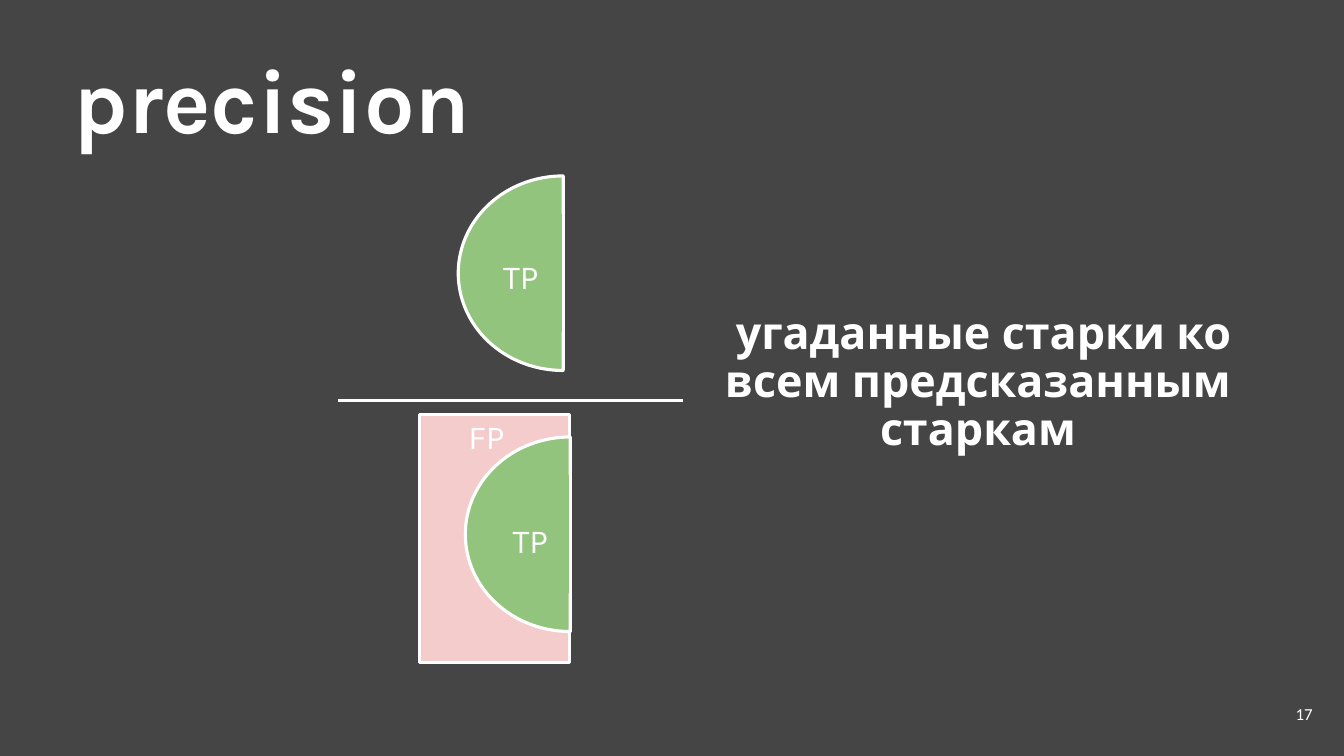
from lxml import etree
from pptx import Presentation
from pptx.dml.color import RGBColor
from pptx.enum.shapes import MSO_CONNECTOR, MSO_SHAPE
from pptx.enum.text import MSO_ANCHOR, PP_ALIGN
from pptx.oxml.ns import qn
from pptx.util import Inches, Pt

LINE = MSO_CONNECTOR.STRAIGHT
ARC, RECT = MSO_SHAPE.BLOCK_ARC, MSO_SHAPE.RECTANGLE
TOP, MIDDLE = MSO_ANCHOR.TOP, MSO_ANCHOR.MIDDLE
LEFT, CENTER, RIGHT = PP_ALIGN.LEFT, PP_ALIGN.CENTER, PP_ALIGN.RIGHT

COLORS = {"back": "454545", "white": "FFFFFF", "green": "93C47D", "pink": "F4CCCC"}

TITLE = "precision"
NOTE = " угаданные старки ко всем предсказанным старкам"
PAGE = "17"
LABELS = [
    (" TP", (4.54, 2.47, 1.17, 0.61)),
    (" FP", (4.16, 4.06, 1.25, 0.39)),
    (" TP", (4.75, 5.09, 0.94, 0.39)),
]
HALVES = [(4.62, 1.67), (4.69, 4.26)]
FRAME = (4.16, 4.11, 1.49, 2.46)
BAR = (3.35, 3.97, 6.77, 3.97)
ARC_W, ARC_H = 1.93, 2.08
CORE_W, CORE_H = 0.63, 1.17


def color(name):
    return RGBColor.from_string(COLORS[name])


def add_text(text, box, size, font="Karla", bold=False, align=LEFT,
             anchor=TOP, pad=0.07, space=None):
    frame = slide.shapes.add_textbox(*map(Inches, box)).text_frame
    frame.word_wrap = True
    frame.vertical_anchor = anchor
    frame.margin_left = frame.margin_right = Inches(0.13)
    frame.margin_top = frame.margin_bottom = Inches(pad)
    para = frame.paragraphs[0]
    para.alignment = align
    para.line_spacing = space
    run = para.add_run()
    run.text = text
    run.font.size = Pt(size)
    run.font.name = font
    run.font.bold = bold
    run.font.color.rgb = color("white")


def outline(item):
    item.line.color.rgb = color("white")
    item.line.width = Pt(2.25)


def add_block(kind, box, fill, edge=True):
    block = slide.shapes.add_shape(kind, *map(Inches, box))
    block.shadow.inherit = False
    block.fill.solid()
    block.fill.fore_color.rgb = color(fill)
    if edge:
        outline(block)
    else:
        block.line.fill.background()
    return block


def add_line(ends):
    line = slide.shapes.add_connector(LINE, *map(Inches, ends))
    outline(line)
    etree.SubElement(line._element.spPr, qn("a:effectLst"))


def add_half(left, top):
    arc = add_block(ARC, (left, top, ARC_W, ARC_H), "green")
    arc.rotation = 270
    arc.adjustments[0] = 108
    arc.adjustments[1] = 0
    arc.adjustments[2] = 0.25
    edge = left + ARC_W / 2
    mid = top + ARC_H / 2
    add_block(RECT, (edge - CORE_W, mid - CORE_H / 2, CORE_W, CORE_H), "green", edge=False)
    add_line((edge, mid - ARC_W / 2, edge, mid + ARC_W / 2))


deck = Presentation()
deck.slide_width, deck.slide_height = Inches(13.33), Inches(7.5)
slide = deck.slides.add_slide(deck.slide_layouts[6])
slide.background.fill.solid()
slide.background.fill.fore_color.rgb = color("back")

add_text(TITLE, (0.6, 0.31, 12.13, 1.27), 64, bold=True, pad=0.13)
add_text(PAGE, (12.35, 6.8, 0.8, 0.57), 12, font="Calibri", align=RIGHT,
         anchor=MIDDLE, pad=0.13)
add_text(NOTE, (6.92, 3.01, 5.56, 1.93), 32, bold=True, align=CENTER, space=0.9)
add_line(BAR)
add_block(RECT, FRAME, "pink")
for spot in HALVES:
    add_half(*spot)
for text, box in LABELS:
    add_text(text, box, 24, align=CENTER)

deck.save("out.pptx")
